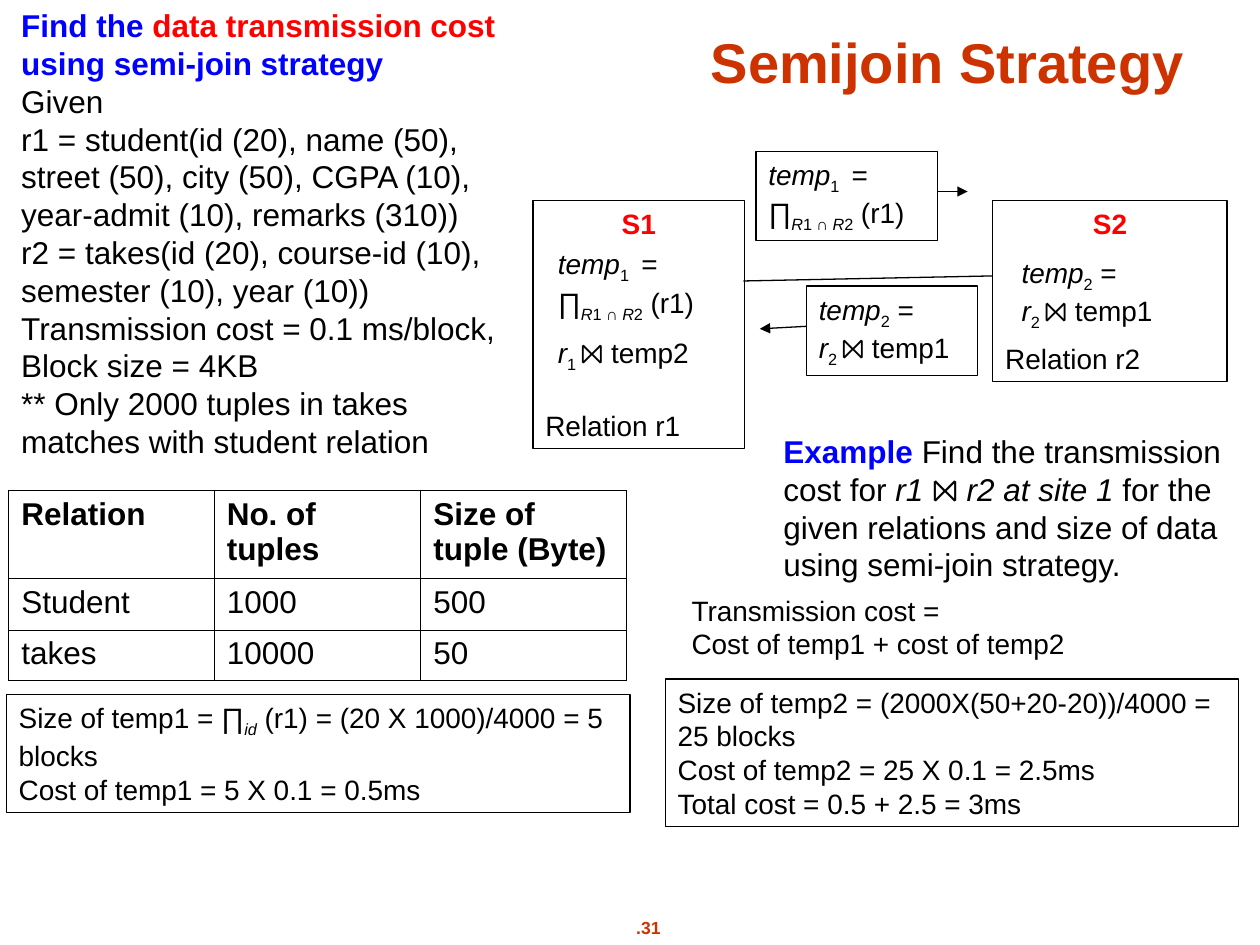
from lxml.etree import SubElement
from pptx import Presentation
from pptx.dml.color import RGBColor
from pptx.enum.shapes import MSO_CONNECTOR as CONNECTOR, MSO_SHAPE as SHAPE
from pptx.enum.text import MSO_ANCHOR as ANCHOR, MSO_AUTO_SIZE as AUTO_SIZE, PP_ALIGN as ALIGN
from pptx.oxml.ns import qn
from pptx.util import Inches, Pt

COLORS = {"black": "000000", "blue": "0000FF", "red": "FF0000", "accent": "CC3300"}


def rgb(name):
    return RGBColor.from_string(COLORS[name])


class SlideBuilder:
    font_name = "Arial"
    line_width = Pt(0.75)

    def __init__(self, slide):
        self.slide = slide

    def style(self, font, size, color="black", bold=False):
        font.name = self.font_name
        font.size = Pt(size)
        font.bold = bold
        font.color.rgb = rgb(color)

    def add_content(self, paragraph, content, size, color="black", bold=False, align=ALIGN.LEFT):
        paragraph.alignment = align
        self.style(paragraph.font, size, color, bold)
        pieces = [(content, "")] if isinstance(content, str) else content
        for text, marks in pieces:
            run = paragraph.add_run()
            run.text = text
            for mark in marks.split():
                if mark == "italic":
                    run.font.italic = True
                elif mark == "sub":
                    run.font._element.set("baseline", "-25000")
                else:
                    run.font.bold = True
                    run.font.color.rgb = rgb(mark)

    def title(self, text, left, top, width, height):
        shape = self.slide.shapes.title
        shape.left, shape.top = Inches(left), Inches(top)
        shape.width, shape.height = Inches(width), Inches(height)
        frame = shape.text_frame
        frame.auto_size = AUTO_SIZE.NONE
        frame.vertical_anchor = ANCHOR.BOTTOM
        self.add_content(frame.paragraphs[0], text, 32, "accent", True, ALIGN.CENTER)

    def fill_frame(self, frame, lines, size):
        frame.word_wrap = True
        frame.vertical_anchor = ANCHOR.TOP
        for index, line in enumerate(lines):
            paragraph = frame.add_paragraph() if index else frame.paragraphs[0]
            self.add_content(paragraph, line, size)

    def text(self, lines, left, top, width, height, size=16):
        shape = self.slide.shapes.add_textbox(
            Inches(left), Inches(top), Inches(width), Inches(height))
        self.fill_frame(shape.text_frame, lines, size)
        return shape

    def box(self, lines, left, top, width, height):
        shape = self.slide.shapes.add_shape(
            SHAPE.RECTANGLE, Inches(left), Inches(top), Inches(width), Inches(height))
        shape.shadow.inherit = False
        shape.fill.background()
        shape.line.color.rgb = rgb("black")
        shape.line.width = self.line_width
        self.fill_frame(shape.text_frame, lines, 16)
        return shape

    def site(self, name, relation, gap, left, top, width, height):
        shape = self.box([[(name, "red")], relation], left, top, width, height)
        heading, label = shape.text_frame.paragraphs
        heading.alignment = ALIGN.CENTER
        label.space_before = Pt(gap)

    def line(self, start, end, arrow=False):
        connector = self.slide.shapes.add_connector(
            CONNECTOR.STRAIGHT, *(Inches(value) for value in start + end))
        connector.line.color.rgb = rgb("black")
        connector.line.width = self.line_width
        if arrow:
            SubElement(connector.line._get_or_add_ln(), qn("a:tailEnd"), type="triangle")
        SubElement(connector._element.spPr, qn("a:effectLst"))

    def border(self, cell):
        properties = cell._tc.get_or_add_tcPr()
        for index, side in enumerate(("lnL", "lnR", "lnT", "lnB")):
            edge = properties.makeelement(qn(f"a:{side}"), {"w": str(Pt(0.45))})
            fill = SubElement(edge, qn("a:solidFill"))
            SubElement(fill, qn("a:srgbClr"), val=COLORS["black"])
            properties.insert(index, edge)

    def table(self, rows, left, top, widths, heights):
        table = self.slide.shapes.add_table(
            len(rows), len(widths), Inches(left), Inches(top),
            Inches(sum(widths)), Inches(sum(heights))).table
        for column, width in zip(table.columns, widths):
            column.width = Inches(width)
        for row_index, (values, height) in enumerate(zip(rows, heights)):
            table.rows[row_index].height = Inches(height)
            for column_index, value in enumerate(values):
                cell = table.cell(row_index, column_index)
                cell.fill.background()
                self.border(cell)
                self.add_content(cell.text_frame.paragraphs[0], value, 18, bold=row_index == 0)

    def page_number(self, text, left, top, width, height):
        shape = self.text([], left, top, width, height)
        self.add_content(shape.text_frame.paragraphs[0], text, 10, "accent", True, ALIGN.CENTER)


def main():
    presentation = Presentation()
    presentation.slide_width, presentation.slide_height = Inches(10), Inches(7.5)
    builder = SlideBuilder(presentation.slides.add_slide(presentation.slide_layouts[5]))

    projection = [
        [("temp", "italic"), ("1 ", "sub"), (" =", "")],
        [("∏", ""), ("R", "italic sub"), ("1 ∩ ", "sub"), ("R", "italic sub"),
         ("2", "sub"), (" (r1)", "")],
    ]
    semijoin = [
        [("temp", "italic"), ("2", "sub"), (" =", "")],
        [("r", "italic"), ("2 ", "sub"), ("⨝ temp1", "")],
    ]
    final_join = [[("r", "italic"), ("1 ", "sub"), ("⨝ temp2", "")]]

    builder.page_number(".31", 4.69, 7.23, 0.91, 0.27)
    builder.title("Semijoin Strategy", 5.37, 0.13, 4.3, 0.67)

    builder.site("S1", "Relation r1", 96, 4.23, 1.59, 1.68, 1.97)
    builder.site("S2", "Relation r2", 58, 7.88, 1.59, 1.86, 1.44)
    builder.text(projection, 4.33, 1.91, 1.58, 0.71)
    builder.text(semijoin, 8.01, 1.98, 1.58, 0.71)
    builder.text(final_join, 4.33, 2.61, 1.44, 0.41)
    builder.box(projection, 6, 1.2, 1.44, 0.71)
    builder.box(semijoin, 6.4, 2.27, 1.36, 0.71)
    builder.line((7.44, 1.52), (7.68, 1.52), arrow=True)
    builder.line((5.9, 2.23), (7.88, 2.19))
    builder.line((6.4, 2.59), (6.03, 2.61), arrow=True)

    builder.text([
        [("Find the ", "blue"), ("data transmission cost", "red"),
         (" using semi-join strategy", "blue")],
        "Given",
        "r1 = student(id (20), name (50), street (50), city (50), CGPA (10), "
        "year-admit (10), remarks (310))",
        "r2 = takes(id (20), course-id (10), semester (10), year (10))",
        "Transmission cost = 0.1 ms/block, Block size = 4KB",
        "** Only 2000 tuples in takes matches with student relation",
    ], 0.07, 0, 4.12, 3.7, size=18)
    builder.table([
        ("Relation", "No. of tuples", "Size of tuple (Byte)"),
        ("Student", "1000", "500"),
        ("takes", "10000", "50"),
    ], 0.07, 3.89, (1.63, 1.64, 1.63), (0.7, 0.41, 0.4))

    builder.text([[
        ("Example", "blue"), (" Find the transmission cost for ", ""), ("r1 ", "italic"),
        ("⨝ ", ""), ("r2 at site 1", "italic"),
        (" for the given relations and size of data using semi-join strategy.", ""),
    ]], 6.12, 3.38, 3.9, 1.3, size=18)
    builder.text(["Transmission cost =", "Cost of temp1 + cost of temp2"], 5.39, 4.66, 4.29, 0.64)
    builder.box([
        [("Size of temp1 = ∏", ""), ("id", "italic sub"),
         (" (r1) = (20 X 1000)/4000 = 5 blocks", "")],
        "Cost of temp1 = 5 X 0.1 = 0.5ms",
    ], 0.05, 5.51, 4.95, 0.94)
    builder.box([
        "Size of temp2 = (2000X(50+20-20))/4000 = 25 blocks",
        "Cost of temp2 = 25 X 0.1 = 2.5ms",
        "Total cost = 0.5 + 2.5 = 3ms",
    ], 5.28, 5.39, 4.55, 1.17)

    presentation.save("out.pptx")


if __name__ == "__main__":
    main()
